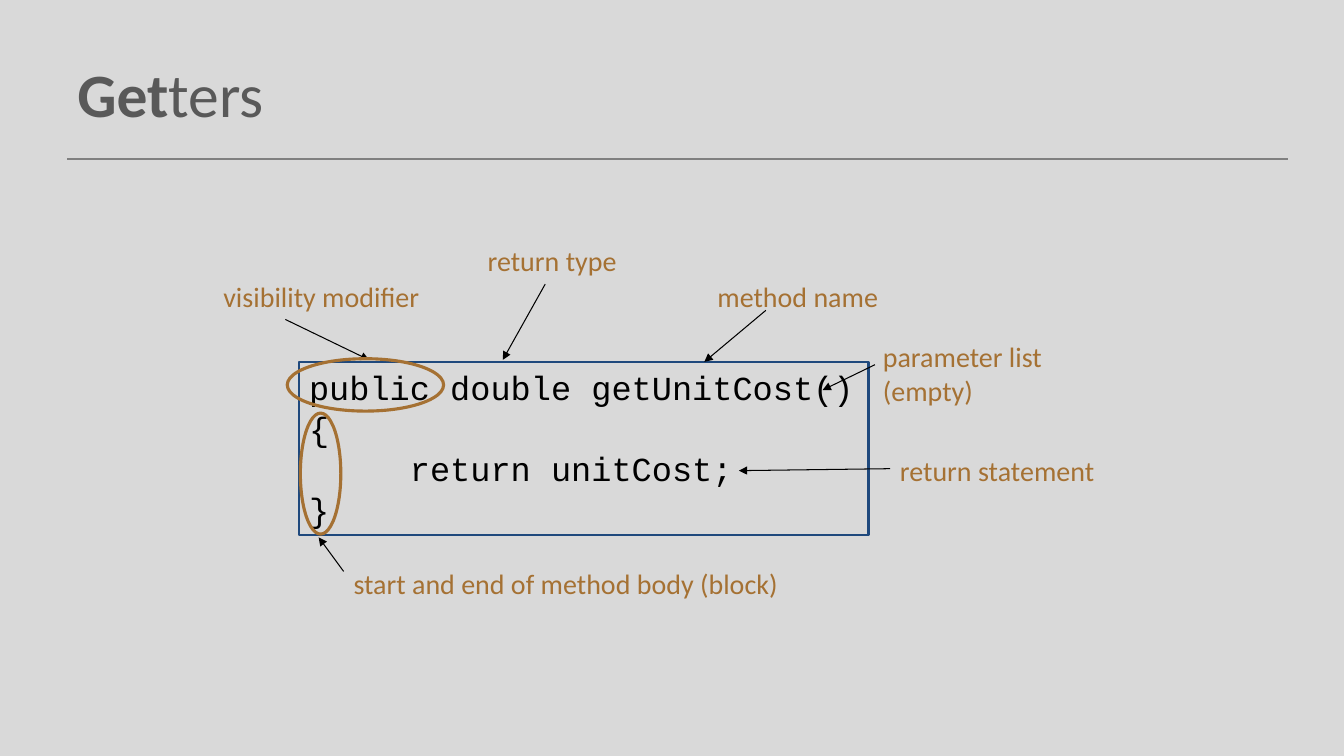
from pptx import Presentation
from pptx.dml.color import RGBColor
from pptx.enum.shapes import MSO_CONNECTOR, MSO_SHAPE
from pptx.enum.text import MSO_ANCHOR, PP_ALIGN
from pptx.oxml.ns import qn
from pptx.util import Cm, Pt
from lxml.etree import SubElement

GREY = RGBColor(0xD9, 0xD9, 0xD9)
DARK = RGBColor(0x59, 0x59, 0x59)
RULE = RGBColor(0x80, 0x80, 0x80)
NAVY = RGBColor(0x1F, 0x49, 0x7D)
BROWN = RGBColor(0xA5, 0x71, 0x33)
BLACK = RGBColor(0, 0, 0)

CODE = ["public double getUnitCost()", "{", "     return unitCost;", "}"]

# Offsets in cm from the corner of the code box.
# text, (left, top, width, height), wrap, arrow start, arrow end
NOTES = [
    ("visibility modifier", (-2.16, -2.21, 5.51, 1.1), False,
     (-0.35, -1.07), (1.76, -0.05)),
    ("return type", (4.5, -3.1, 4.37, 1.1), True,
     (6.2, -1.96), (5.13, -0.05)),
    ("method name", (10.29, -2.21, 4.6, 1.1), False,
     (11.76, -1.3), (10.21, 0)),
    ("parameter list (empty)", (14.46, -0.69, 5.74, 1.96), True,
     (14.51, 0.07), (13.19, 0.71)),
    ("return statement", (14.89, 2.18, 5.56, 1.1), False,
     (14.89, 2.69), (11.08, 2.74)),
    ("start and end of method body (block)", (1.12, 5.03, 12.65, 1.1), True,
     (1.12, 5.28), (0.49, 4.42)),
]
RINGS = [(-0.3, -0.08, 3.94, 1.32), (0.03, 1.29, 1.02, 3.05)]


def style(font, name, size, color, bold=False):
    font.name = name
    font.size = Pt(size)
    font.color.rgb = color
    font.bold = bold


def add_line(slide, start, end, color, width):
    line = slide.shapes.add_connector(
        MSO_CONNECTOR.STRAIGHT, *(Cm(v) for v in (*start, *end)))
    line.line.color.rgb = color
    line.line.width = Pt(width)
    props = line.element.spPr
    SubElement(props, qn("a:effectLst"))
    return line


def add_arrow(slide, start, end):
    line = add_line(slide, start, end, BLACK, 0.75)
    SubElement(line.line._get_or_add_ln(), qn("a:tailEnd"), type="triangle")


def add_frame(slide, kind, box, color, width):
    """Add an unfilled outline shape."""
    shape = slide.shapes.add_shape(kind, *(Cm(v) for v in box))
    shape.shadow.inherit = False
    shape.fill.background()
    shape.line.color.rgb = color
    shape.line.width = Pt(width)
    return shape


def add_title(slide, box):
    left, top, width, height = box
    frame = slide.shapes.add_textbox(*(Cm(v) for v in box)).text_frame
    frame.word_wrap = True
    frame.vertical_anchor = MSO_ANCHOR.MIDDLE
    for text, bold in (("Get", True), ("ters", False)):
        run = frame.paragraphs[0].add_run()
        run.text = text
        style(run.font, "Calibri", 44, DARK, bold)
    rule = top + height + 0.07
    add_line(slide, (left, rule), (left + width + 0.28, rule), RULE, 1)


def add_code(slide, box):
    frame = add_frame(slide, MSO_SHAPE.RECTANGLE, box, NAVY, 1.5).text_frame
    frame.word_wrap = False
    frame.vertical_anchor = MSO_ANCHOR.TOP
    frame.text = "\n".join(CODE)
    for para in frame.paragraphs:
        para.alignment = PP_ALIGN.LEFT
        para.line_spacing = Pt(29)
        style(para.runs[0].font, "Courier New", 24, BLACK)


def add_notes(slide, box):
    """Label the parts of the code in the given box."""
    left, top = box[:2]

    def shift(x, y, *size):
        return (left + x, top + y, *size)

    for text, area, wrap, start, end in NOTES:
        label = slide.shapes.add_textbox(*(Cm(v) for v in shift(*area)))
        frame = label.text_frame
        frame.word_wrap = wrap
        frame.text = text
        style(frame.paragraphs[0].runs[0].font, "Calibri", 20, BROWN)
        add_arrow(slide, shift(*start), shift(*end))
    for ring in RINGS:
        add_frame(slide, MSO_SHAPE.OVAL, shift(*ring), BROWN, 2.25)


def main():
    deck = Presentation()
    deck.slide_width, deck.slide_height = Cm(33.87), Cm(19.05)
    slide = deck.slides.add_slide(deck.slide_layouts[6])
    slide.background.fill.solid()
    slide.background.fill.fore_color.rgb = GREY
    add_title(slide, (1.7, 0.76, 30.48, 3.18))
    code = (7.54, 9.12, 14.35, 4.37)
    add_code(slide, code)
    add_notes(slide, code)
    deck.save("out.pptx")


if __name__ == "__main__":
    main()
